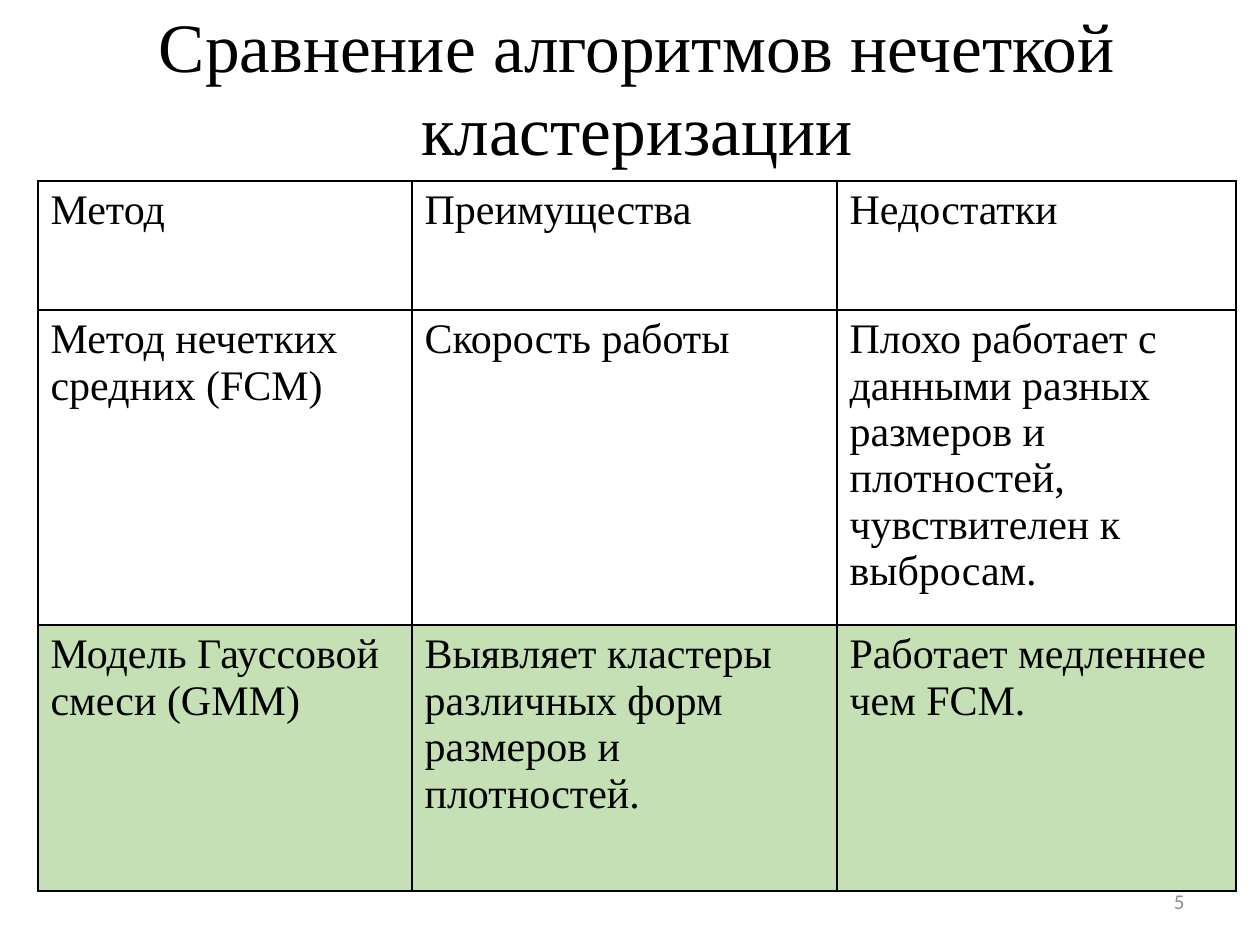
import pptx
import pptx.dml.color
import pptx.enum.text
import pptx.oxml
import pptx.oxml.ns
import pptx.util

EMU_PER_PX = 914400 / 126
BLACK = pptx.dml.color.RGBColor(0x00, 0x00, 0x00)
GREY = pptx.dml.color.RGBColor(0x8C, 0x8C, 0x8C)
GREEN = pptx.dml.color.RGBColor(0xC5, 0xE0, 0xB4)
SERIF = "Times New Roman"

COLUMN_WIDTHS = [374, 425, 399]
ROW_HEIGHTS = [129, 300, 266]
COMPARISON = [
    ["Метод", "Преимущества", "Недостатки"],
    ["Метод нечетких средних (FCM)", "Скорость работы",
     "Плохо работает с данными разных размеров и плотностей, чувствителен к выбросам."],
    ["Модель Гауссовой смеси (GMM)",
     "Выявляет кластеры различных форм размеров и плотностей.",
     "Работает медленнее чем FCM."],
]
HIGHLIGHTED_ROW = 2


def px(length):
    return pptx.util.Emu(round(length * EMU_PER_PX))


def write(frame, text, size, color=BLACK, font=SERIF, align=None):
    frame.text = text
    frame.word_wrap = True
    para = frame.paragraphs[0]
    para.alignment = align
    for span in para.runs:
        span.font.name = font
        span.font.size = pptx.util.Pt(size)
        span.font.color.rgb = color


def add_title(page, left, top, width, height):
    title = page.shapes.title
    title.left, title.top, title.width, title.height = map(px, (left, top, width, height))
    frame = title.text_frame
    write(frame, "Сравнение алгоритмов нечеткой кластеризации", 39.6,
          align=pptx.enum.text.PP_ALIGN.CENTER)
    frame.auto_size = pptx.enum.text.MSO_AUTO_SIZE.NONE
    frame.vertical_anchor = pptx.enum.text.MSO_ANCHOR.MIDDLE


def add_borders(cell):
    """Draw a 1 pt black line on all four sides of the cell."""
    properties = cell._tc.get_or_add_tcPr()
    for position, side in enumerate(("lnL", "lnR", "lnT", "lnB")):
        line = pptx.oxml.parse_xml(
            f'<a:{side} {pptx.oxml.ns.nsdecls("a")} w="12700"><a:solidFill>'
            f'<a:srgbClr val="{BLACK}"/></a:solidFill></a:{side}>')
        properties.insert(position, line)


def add_comparison_table(page, left, top):
    frame = page.shapes.add_table(
        len(ROW_HEIGHTS), len(COLUMN_WIDTHS), px(left), px(top),
        px(sum(COLUMN_WIDTHS)), px(sum(ROW_HEIGHTS)))
    table = frame.table
    table.first_row = table.horz_banding = False
    for column, width in zip(table.columns, COLUMN_WIDTHS):
        column.width = px(width)
    for row, height in zip(table.rows, ROW_HEIGHTS):
        row.height = px(height)
    for row_index, texts in enumerate(COMPARISON):
        for column_index, text in enumerate(texts):
            cell = table.cell(row_index, column_index)
            write(cell.text_frame, text, 24)
            if row_index == HIGHLIGHTED_ROW:
                cell.fill.solid()
                cell.fill.fore_color.rgb = GREEN
            else:
                cell.fill.background()
            add_borders(cell)


def add_page_number(page, left, top, width, height):
    box = page.shapes.add_textbox(*map(px, (left, top, width, height)))
    write(box.text_frame, "5", 12, GREY, "Calibri", pptx.enum.text.PP_ALIGN.RIGHT)
    box.text_frame.vertical_anchor = pptx.enum.text.MSO_ANCHOR.MIDDLE


def main():
    deck = pptx.Presentation()
    deck.slide_width, deck.slide_height = px(1260), px(945)
    page = deck.slides.add_slide(deck.slide_layouts[5])
    add_page_number(page, 903, 876, 294, 50)
    add_title(page, 63, 38, 1148, 97)
    add_comparison_table(page, 38, 181)
    deck.save("out.pptx")


if __name__ == "__main__":
    main()
